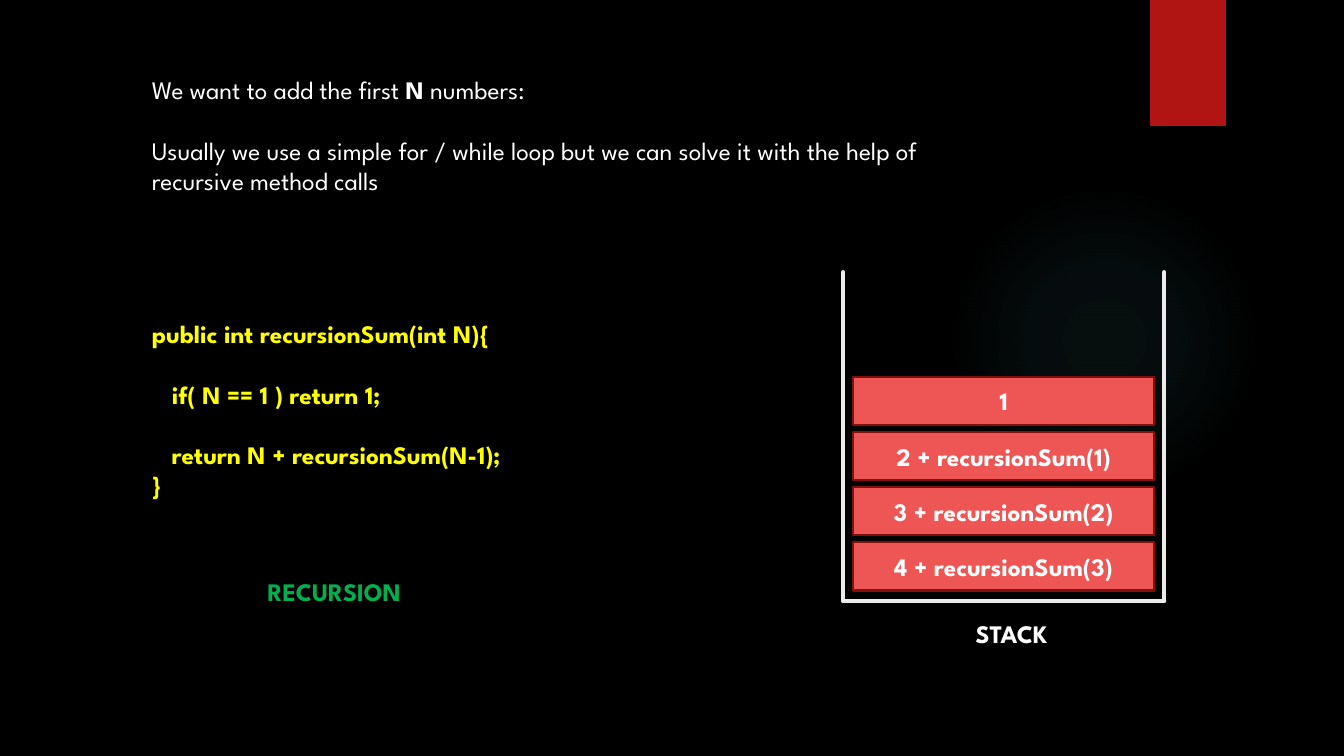
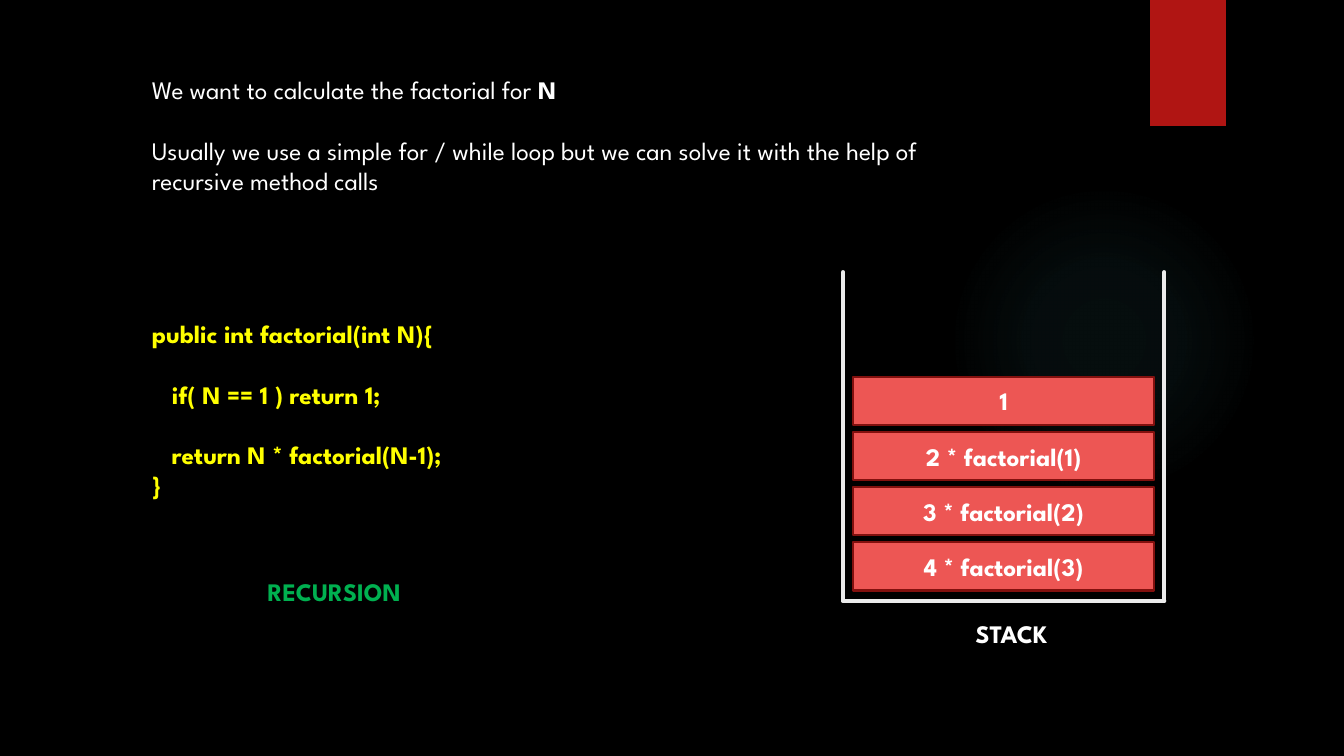
from dataclasses import dataclass

from lxml import etree
from pptx import Presentation
from pptx.dml.color import RGBColor
from pptx.enum import shapes, text
from pptx.oxml.ns import qn
from pptx.util import Pt

# Content: a paragraph is (runs, blank lines above, indent level); a run is (text, bold)
USUAL_WAY = [
    ([("Usually we use a simple for / while loop but we can solve it with the help of", False)], 1, 0),
    ([("recursive method calls", False)], 0, 0),
]
SLIDES = [
    {
        "goal": [("We want to add the first ", False), ("N", True), (" numbers:", False)],
        "method": "recursionSum",
        "operator": "+",
    },
    {
        "goal": [("We want to calculate the factorial for ", False), ("N", True)],
        "method": "factorial",
        "operator": "*",
    },
]
CALLS = (4, 3, 2)


# Look shared by both slides
@dataclass(frozen=True)
class Theme:
    font: str = "League Spartan"
    size: float = 18
    line_height: float = 21.65
    indent: float = 14.4
    background: str = "000000"
    white: str = "FFFFFF"
    code: str = "FFFF00"
    caption: str = "00B050"
    ribbon: str = "B01513"
    glow: str = "50B9C1"
    wall: str = "EBEBEB"
    wall_width: float = 3
    call: str = "ED5654"
    call_edge: str = "82100E"
    call_edge_width: float = 1.5


THEME = Theme()
GLOW_STOPS = [(0, 7), (36, 6), (69, 0)]  # position and opacity, percent

# Layout in points: left, top, width, height
GLOW = (677.5, 131.8, 221.8, 221.8)
RIBBON = (821.6, 0, 54, 90)
INTRO = (101.4, 49.7, 669, 94.5)
CODE = (101.4, 223.9, 285, 138)
RECURSION = (184.1, 408.2, 120, 29)
STACK = (689.8, 437.8, 76, 29)
WALL_LEFT, WALL_RIGHT, WALL_TOP, FLOOR = 602.2, 831.6, 194.4, 429.1
CALL_WIDTH, CALL_HEIGHT, CALL_PITCH, BOTTOM_CALL = 215.3, 34.6, 39.4, 387.2


def color(value):
    return RGBColor.from_string(value)


def points(box):
    return [Pt(length) for length in box]


def write(frame, paragraphs, ink, align=text.PP_ALIGN.LEFT):
    for number, (runs, blanks, level) in enumerate(paragraphs):
        line = frame.add_paragraph() if number else frame.paragraphs[0]
        line.alignment = align
        if blanks:
            line.space_before = Pt(blanks * THEME.line_height)
        if level:
            line._p.get_or_add_pPr().set("marL", str(Pt(level * THEME.indent)))
        for words, bold in runs:
            run = line.add_run()
            run.text = words
            style = {"name": THEME.font, "size": Pt(THEME.size), "bold": bold}
            for key, value in style.items():
                setattr(run.font, key, value)
            run.font.color.rgb = color(ink)


def add_text(slide, box, paragraphs, ink):
    frame = slide.shapes.add_textbox(*points(box)).text_frame
    frame.word_wrap = True
    write(frame, paragraphs, ink)


def add_block(slide, box, fill=None, edge=None, kind=shapes.MSO_SHAPE.RECTANGLE):
    block = slide.shapes.add_shape(kind, *points(box))
    block.shadow.inherit = False
    if fill:
        block.fill.solid()
        block.fill.fore_color.rgb = color(fill)
    if edge:
        block.line.color.rgb = color(edge)
        block.line.width = Pt(THEME.call_edge_width)
    else:
        block.line.fill.background()
    return block


def add_glow(slide):
    glow = add_block(slide, GLOW, kind=shapes.MSO_SHAPE.OVAL)
    gradient = etree.Element(qn("a:gradFill"), rotWithShape="1")
    stops = etree.SubElement(gradient, qn("a:gsLst"))
    for position, opacity in GLOW_STOPS:
        stop = etree.SubElement(stops, qn("a:gs"), pos=str(position * 1000))
        tint = etree.SubElement(stop, qn("a:srgbClr"), val=THEME.glow)
        etree.SubElement(tint, qn("a:alpha"), val=str(opacity * 1000))
    shade = etree.SubElement(gradient, qn("a:path"), {"path": "circle"})
    etree.SubElement(shade, qn("a:fillToRect"), dict.fromkeys("ltrb", "50000"))
    glow._element.spPr.find(qn("a:prstGeom")).addnext(gradient)


def add_wall(slide, ends):
    wall = slide.shapes.add_connector(shapes.MSO_CONNECTOR.STRAIGHT, *points(ends))
    wall.line.color.rgb = color(THEME.wall)
    wall.line.width = Pt(THEME.wall_width)
    wall.line._get_or_add_ln().set("cap", "rnd")
    etree.SubElement(wall._element.spPr, qn("a:effectLst"))


def add_stack(slide, calls):
    for ends in (
        (WALL_LEFT, WALL_TOP, WALL_LEFT, FLOOR),
        (WALL_LEFT, FLOOR, WALL_RIGHT, FLOOR),
        (WALL_RIGHT, WALL_TOP, WALL_RIGHT, FLOOR),
    ):
        add_wall(slide, ends)
    left = (WALL_LEFT + WALL_RIGHT - CALL_WIDTH) / 2
    for depth, words in enumerate(calls):
        box = (left, BOTTOM_CALL - depth * CALL_PITCH, CALL_WIDTH, CALL_HEIGHT)
        frame = add_block(slide, box, THEME.call, THEME.call_edge).text_frame
        frame.vertical_anchor = text.MSO_ANCHOR.MIDDLE
        write(frame, [([(words, True)], 0, 0)], THEME.white, text.PP_ALIGN.CENTER)
    add_text(slide, STACK, [([("STACK", True)], 0, 0)], THEME.white)


def build_slide(deck, content):
    slide = deck.slides.add_slide(deck.slide_layouts[6])
    method, operator = content["method"], content["operator"]

    # Backdrop
    add_glow(slide)
    add_block(slide, RIBBON, THEME.ribbon)

    # Problem and code
    add_text(slide, INTRO, [(content["goal"], 0, 0)] + USUAL_WAY, THEME.white)
    code = [
        (f"public int {method}(int N){{", 0, 0),
        ("if( N == 1 ) return 1;", 1, 1),
        (f"return N {operator} {method}(N-1);", 1, 1),
        ("}", 0, 0),
    ]
    add_text(slide, CODE, [([(line, True)], *layout) for line, *layout in code], THEME.code)
    add_text(slide, RECURSION, [([("RECURSION", True)], 0, 0)], THEME.caption)

    # Call stack
    add_stack(slide, [f"{n} {operator} {method}({n - 1})" for n in CALLS] + ["1"])


def main():
    deck = Presentation()
    deck.slide_width, deck.slide_height = Pt(960), Pt(540)
    backdrop = deck.slide_master.background.fill
    backdrop.solid()
    backdrop.fore_color.rgb = color(THEME.background)
    for content in SLIDES:
        build_slide(deck, content)
    deck.save("out.pptx")


if __name__ == "__main__":
    main()
